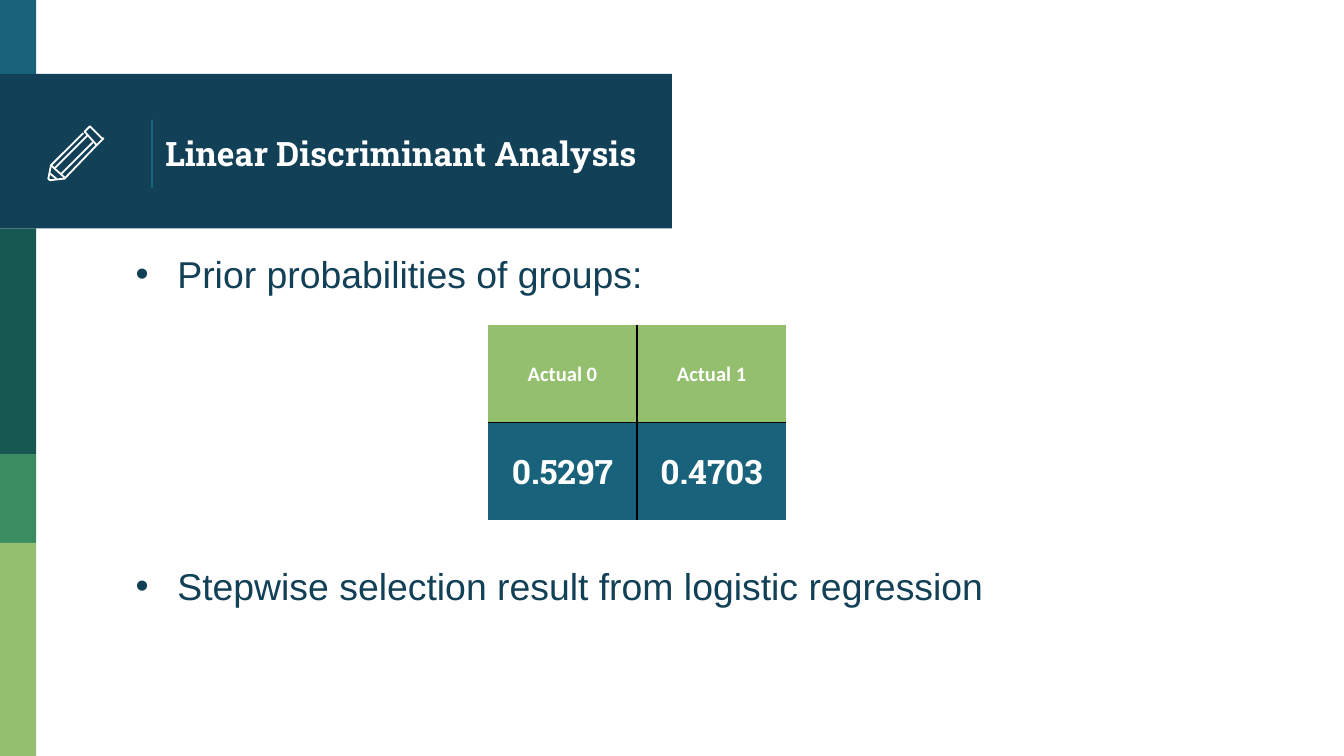
from lxml import etree
from pptx import Presentation
from pptx import util as u
from pptx.dml.color import RGBColor
from pptx.enum import shapes, text
from pptx.oxml.ns import qn

COLORS = {"navy": "124057", "blue": "18637B", "teal": "165751", "green": "3B8D61",
          "lime": "94BF6E", "white": "FFFFFF", "black": "000000"}
WIDTH = 10
HEIGHT = WIDTH * 9 / 16

TITLE = "Linear Discriminant Analysis"
BULLETS = [("Prior probabilities of groups:", 1.82),
           ("Stepwise selection result from logistic regression", 4.14)]
PRIORS = [["Actual 0", "Actual 1"], ["0.5297", "0.4703"]]
ROW_STYLES = [("lime", {"size": 11, "font": "Calibri"}),
              ("blue", {"size": 18, "font": "Roboto Slab"})]

# Side bar segments and title band: color, top, bottom, width
BAR = 0.27
BANDS = [("blue", 0, 0.58, BAR), ("navy", 0.55, 1.7, 5), ("teal", 1.7, 3.38, BAR),
         ("green", 3.38, 4.04, BAR), ("lime", 4.04, HEIGHT, BAR)]

# Pencil strokes in hundredths of an inch: points, closed
PENCIL = [
    ([(76, 103), (68, 95), (67, 94), (66, 95), (63, 98), (72, 108), (76, 104), (77, 103)], True),
    ([(69, 106), (45, 130)], False),
    ([(62, 99), (38, 123), (36, 133), (37, 134), (38, 134), (47, 133), (48, 133), (72, 108)], False),
    ([(41, 125), (65, 101)], False),
    ([(42, 133), (37, 129)], False),
    ([(38, 123), (48, 132)], False),
]


def color(name):
    return RGBColor.from_string(COLORS[name])


def write(frame, words, size, font, ink="white", bold=False, align=None):
    paragraph = frame.paragraphs[0]
    paragraph.alignment = align
    paragraph.space_before = u.Pt(0)
    paragraph.line_spacing = 1.0
    run = paragraph.add_run()
    run.text = words
    run.font.size, run.font.name, run.font.bold = u.Pt(size), font, bold
    run.font.color.rgb = color(ink)
    return paragraph


def place(shape, left, top, width, height):
    shape.left, shape.top = u.Inches(left), u.Inches(top)
    shape.width, shape.height = u.Inches(width), u.Inches(height)


def add_bands(slide):
    for name, top, bottom, width in BANDS:
        band = slide.shapes.add_shape(
            shapes.MSO_SHAPE.RECTANGLE, 0, u.Inches(top), u.Inches(width), u.Inches(bottom - top))
        band.shadow.inherit = False
        band.fill.solid()
        band.fill.fore_color.rgb = color(name)
        band.line.fill.background()
    divider = slide.shapes.add_connector(
        shapes.MSO_CONNECTOR.STRAIGHT, *map(u.Inches, (1.13, 0.89, 1.13, 1.4)))
    divider.line.color.rgb = color("blue")
    divider.line.width = u.Pt(0.75)
    etree.SubElement(divider.element.spPr, qn("a:effectLst"))


def add_pencil(slide):
    group = slide.shapes.add_group_shape()
    for points, closed in PENCIL:
        builder = group.shapes.build_freeform(*points[0], scale=u.Inches(0.01))
        builder.add_line_segments(points[1:], close=closed)
        stroke = builder.convert_to_shape()
        stroke.shadow.inherit = False
        stroke.fill.background()
        stroke.line.color.rgb = color("white")
        stroke.line.width = u.Pt(0.96)


def add_title(slide):
    title = slide.shapes.title
    slide.shapes.element.append(title.element)  # bring in front of the band
    place(title, 1.13, 0.58, 3.92, 1.12)
    frame = title.text_frame
    frame.margin_left = frame.margin_right = frame.margin_top = frame.margin_bottom = u.Inches(0.1)
    frame.vertical_anchor = text.MSO_ANCHOR.MIDDLE
    write(frame, TITLE, 18, "Roboto Slab", bold=True, align=text.PP_ALIGN.LEFT)


def add_bullets(slide):
    bodies = [shape for shape in slide.placeholders if shape.placeholder_format.idx > 0]
    for body, (words, top) in zip(bodies, BULLETS):
        place(body, 0.91, top, 8.3, 0.44)
        body.text_frame.auto_size = text.MSO_AUTO_SIZE.NONE
        paragraph = write(body.text_frame, words, 20, "Arial", "navy")
        properties = paragraph._p.get_or_add_pPr()
        properties.set("marL", str(u.Inches(0.31)))
        properties.set("indent", str(-u.Inches(0.31)))
        etree.SubElement(properties, qn("a:buFont"), typeface="Arial")
        etree.SubElement(properties, qn("a:buChar"), char="•")


def add_borders(cell, inner):
    """Rule the inner sides in black and leave the outer sides bare."""
    for side in "LRTB":
        line = etree.SubElement(cell._tc.get_or_add_tcPr(), qn("a:ln" + side), w=str(u.Pt(1)))
        if side in inner:
            fill = etree.SubElement(line, qn("a:solidFill"))
            etree.SubElement(fill, qn("a:srgbClr"), val=COLORS["black"])
        else:
            etree.SubElement(line, qn("a:noFill"))


def add_priors(slide):
    table = slide.shapes.add_table(
        len(PRIORS), len(PRIORS[0]), *map(u.Inches, (3.63, 2.42, 2.22, 1.45))).table
    table.first_row = table.horz_banding = False
    for r, (row, (fill, style)) in enumerate(zip(PRIORS, ROW_STYLES)):
        for c, words in enumerate(row):
            cell = table.cell(r, c)
            add_borders(cell, inner="RL"[c] + "BT"[r])
            cell.fill.solid()
            cell.fill.fore_color.rgb = color(fill)
            cell.vertical_anchor = text.MSO_ANCHOR.MIDDLE
            cell.margin_top = cell.margin_bottom = u.Inches(0.07)
            write(cell.text_frame, words, bold=True, align=text.PP_ALIGN.CENTER, **style)


def main():
    presentation = Presentation()
    presentation.slide_width, presentation.slide_height = u.Inches(WIDTH), u.Inches(HEIGHT)
    two_content = presentation.slide_layouts[3]
    slide = presentation.slides.add_slide(two_content)
    add_bands(slide)
    add_title(slide)
    add_pencil(slide)
    add_bullets(slide)
    add_priors(slide)
    presentation.save("out.pptx")


if __name__ == "__main__":
    main()
